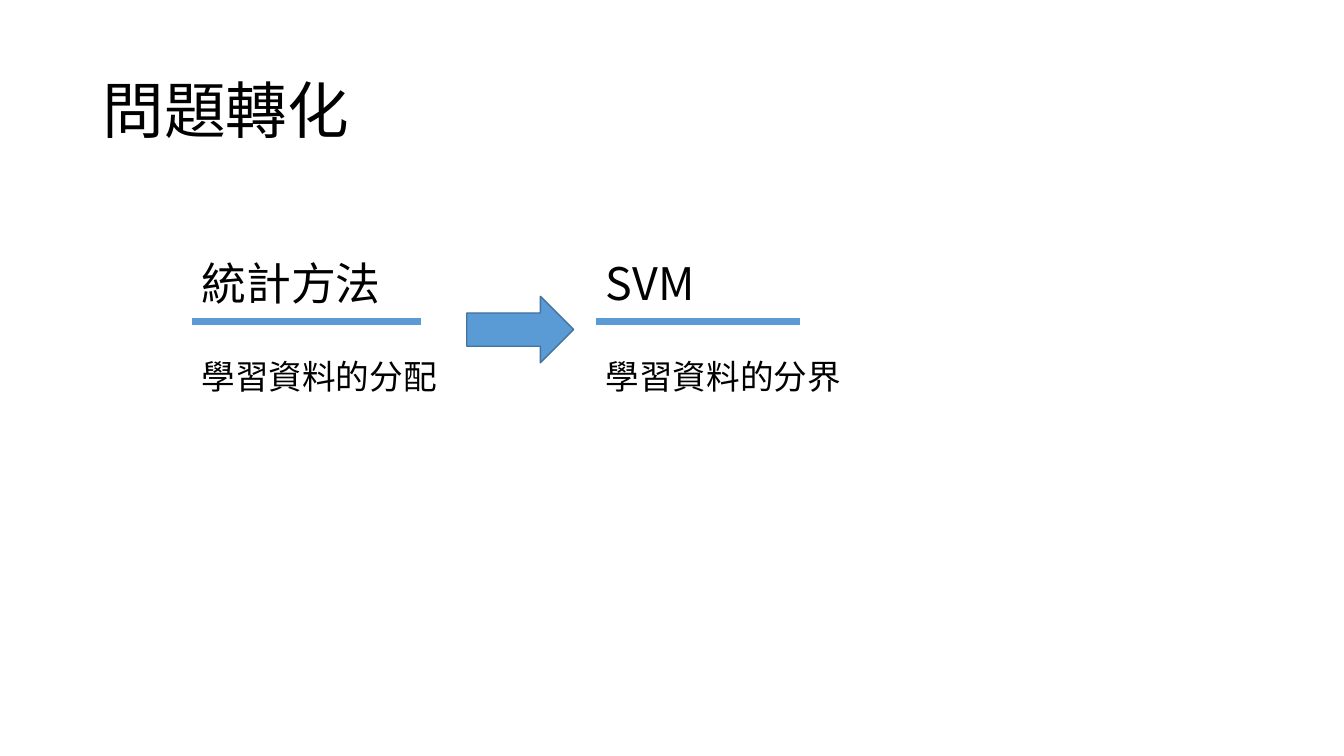
from lxml import etree
from pptx import Presentation
from pptx.dml.color import RGBColor
from pptx.enum.shapes import MSO_CONNECTOR, MSO_SHAPE
from pptx.enum.text import MSO_ANCHOR
from pptx.oxml.ns import qn
from pptx.util import Pt

SCALE = 9144
BLACK = RGBColor(0x00, 0x00, 0x00)
BLUE = RGBColor(0x5B, 0x9B, 0xD5)
EDGE = RGBColor(0x43, 0x73, 0x9E)
STRAIGHT = MSO_CONNECTOR.STRAIGHT
ARROW = MSO_SHAPE.RIGHT_ARROW
TOP = MSO_ANCHOR.TOP
MIDDLE = MSO_ANCHOR.MIDDLE
NOTO = "Noto Sans CJK SC"
TITLE = {"name": "Calibri", "size": Pt(44)}
HEAD = {"name": NOTO, "size": Pt(32)}
BODY = {"name": NOTO, "size": Pt(24)}
COLUMNS = [
    (190, 228, "統計方法", 241, "學習資料的分配", 298),
    (591, 202, "SVM", 212, "學習資料的分界", 263),
]


def px(*vals):
    """Turn lengths in px into EMU."""
    return [val * SCALE for val in vals]


def add_text(slide, box, text, style, anchor=TOP, spacing=1.0):
    """Add one line of styled text in a box."""
    frame = slide.shapes.add_textbox(*px(*box)).text_frame
    frame.word_wrap = True
    frame.vertical_anchor = anchor
    para = frame.paragraphs[0]
    para.line_spacing = spacing
    run = para.add_run()
    run.text = text
    for key, val in style.items():
        setattr(run.font, key, val)
    run.font.color.rgb = BLACK
    east = etree.SubElement(run.font._element, qn("a:ea"))
    east.set("typeface", NOTO)


def add_rule(slide, left, top, width):
    """Add a thick blue level line."""
    ends = px(left, top, left + width, top)
    rule = slide.shapes.add_connector(STRAIGHT, *ends)
    rule.line.color.rgb = BLUE
    rule.line.width = Pt(4.5)
    etree.SubElement(rule._element.spPr, qn("a:effectLst"))


def add_arrow(slide, box):
    """Add a blue block arrow pointing right."""
    arrow = slide.shapes.add_shape(ARROW, *px(*box))
    arrow.shadow.inherit = False
    arrow.fill.solid()
    arrow.fill.fore_color.rgb = BLUE
    arrow.line.color.rgb = EDGE
    arrow.line.width = Pt(1)


def add_column(slide, left, rule, head, head_w, body, body_w):
    """Add a heading, its underline and the text below."""
    add_rule(slide, left, 319, rule)
    add_text(slide, (left, 249, head_w, 64), head, HEAD)
    add_text(slide, (left, 348, body_w, 50), body, BODY)


def main():
    """Build the slide and save it."""
    prs = Presentation()
    prs.slide_width, prs.slide_height = px(1333, 750)
    slide = prs.slides.add_slide(prs.slide_layouts[6])
    add_text(slide, (92, 40, 1150, 145), "問題轉化", TITLE, MIDDLE, 0.9)
    for column in COLUMNS:
        add_column(slide, *column)
    add_arrow(slide, (463, 294, 106, 66))
    prs.save("out.pptx")


if __name__ == "__main__":
    main()
